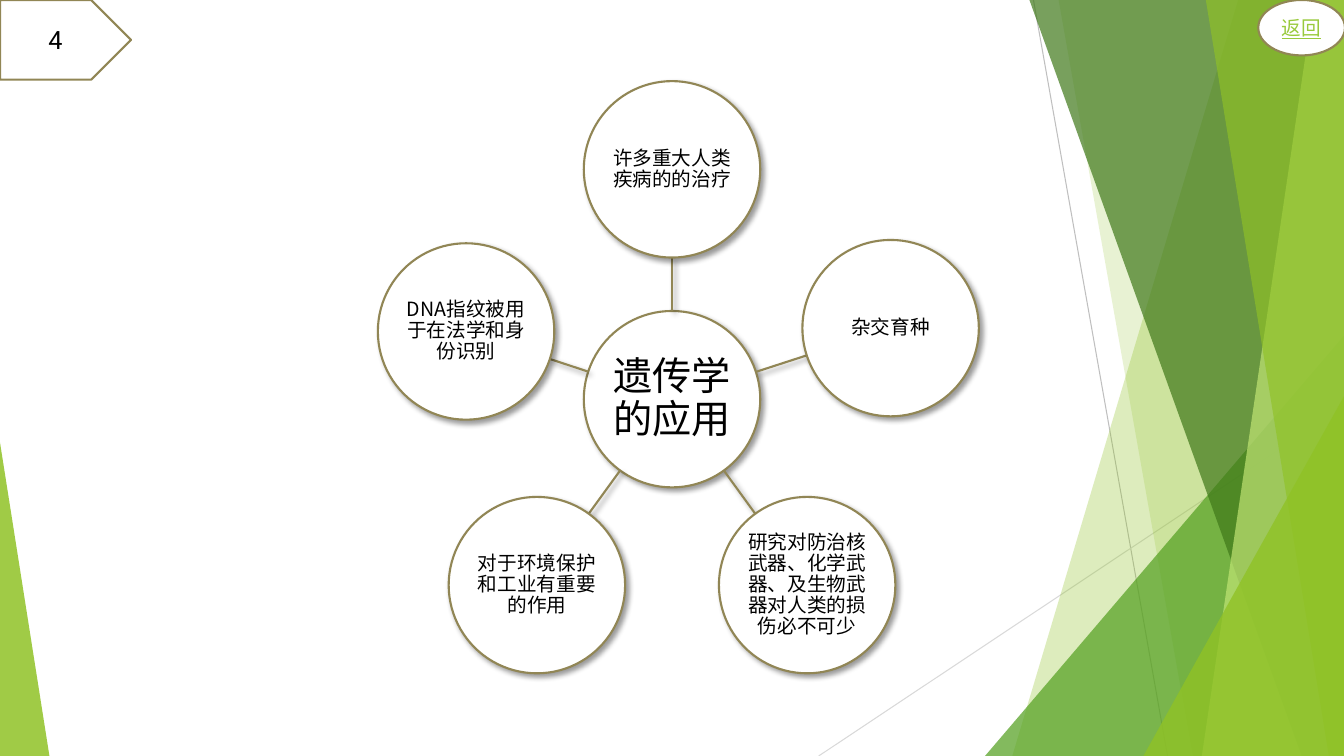
import math

import pptx
import pptx.util
from pptx.dml.color import RGBColor
from pptx.enum.shapes import MSO_CONNECTOR, MSO_SHAPE
from pptx.enum.text import MSO_ANCHOR, PP_ALIGN
from pptx.oxml import parse_xml
from pptx.oxml.ns import nsdecls, qn
from lxml import etree

Inches = pptx.util.Inches
Pt = pptx.util.Pt

WHITE = RGBColor(0xFF, 0xFF, 0xFF)
BLACK = RGBColor(0, 0, 0)
TAN = RGBColor(0x91, 0x86, 0x55)
LIME = RGBColor(0x90, 0xC2, 0x26)
LINK = RGBColor(0x99, 0xCA, 0x3C)
GREEN = RGBColor(0x54, 0xA0, 0x21)
DARK = RGBColor(0x3F, 0x78, 0x19)
PALE = RGBColor(0xC0, 0xE4, 0x74)
GREY = RGBColor(0xBF, 0xBF, 0xBF)
SILVER = RGBColor(0xD9, 0xD9, 0xD9)
HAN = "Noto Sans CJK SC"
LATIN = "Roboto"
WIDE, HIGH = 13.33, 7.5

RADIUS = 0.875
HUB = "遗传学的应用"
USES = [
    ("许多重大人类疾病的的治疗", 270, 2.28),
    ("杂交育种", 342, 2.28),
    ("研究对防治核武器、化学武器、及生物武器对人类的损伤必不可少", 54, 2.28),
    ("对于环境保护和工业有重要的作用", 126, 2.28),
    ("DNA指纹被用于在法学和身份识别", 198.2, 2.15),
]


def shade(list_el):
    """Add a soft lower-right shadow to an effect list."""
    list_el.append(parse_xml(
        f'<a:outerShdw {nsdecls("a")} blurRad="50800" dist="38100" dir="2700000" '
        'algn="tl" rotWithShape="0"><a:srgbClr val="000000">'
        '<a:alpha val="40000"/></a:srgbClr></a:outerShdw>'))


def tint(shape, color, alpha):
    """Fill a shape with a see-through colour and no outline."""
    shape.shadow.inherit = False
    shape.line.fill.background()
    shape.fill.solid()
    shape.fill.fore_color.rgb = color
    tone = shape.fill._xPr.find(qn("a:solidFill"))[0]
    etree.SubElement(tone, qn("a:alpha")).set("val", str(alpha * 1000))


def rule(slide, start, end, color, width):
    """Draw a straight line and return its effect list."""
    line = slide.shapes.add_connector(
        MSO_CONNECTOR.STRAIGHT, *[Inches(n) for n in (*start, *end)])
    line.line.color.rgb = color
    line.line.width = Pt(width)
    return etree.SubElement(line._element.spPr, qn("a:effectLst"))


def badge(slide, kind, box, text, size, face, color=BLACK):
    """Draw a white outlined shape with centred text."""
    shape = slide.shapes.add_shape(kind, *[Inches(n) for n in box])
    shape.shadow.inherit = False
    shape.fill.solid()
    shape.fill.fore_color.rgb = WHITE
    shape.line.color.rgb = TAN
    shape.line.width = Pt(1.5)
    frame = shape.text_frame
    frame.text = text
    frame.word_wrap = True
    frame.vertical_anchor = MSO_ANCHOR.MIDDLE
    para = frame.paragraphs[0]
    para.alignment = PP_ALIGN.CENTER
    font = para.runs[0].font
    font.size = Pt(size)
    font.name = face
    font.color.rgb = color
    etree.SubElement(font._element, qn("a:ea")).set("typeface", HAN)
    return shape


def disc(slide, mid, text, size, inset):
    """Draw a shadowed circle of text around its centre."""
    box = (mid[0] - RADIUS, mid[1] - RADIUS, 2 * RADIUS, 2 * RADIUS)
    shape = badge(slide, MSO_SHAPE.OVAL, box, text, size, HAN)
    shade(shape._element.spPr.find(qn("a:effectLst")))
    frame = shape.text_frame
    frame.margin_left = frame.margin_right = Inches(inset)
    frame.margin_top = frame.margin_bottom = Inches(inset)
    frame.paragraphs[0].line_spacing = 0.9


def wheel(slide, mid):
    """Draw the hub with its spokes and outer circles."""
    disc(slide, mid, HUB, 28, 0.02)
    for text, angle, reach in USES:
        turn = math.radians(angle)
        start, end, rim = [
            (mid[0] + far * math.cos(turn), mid[1] + far * math.sin(turn))
            for far in (RADIUS, reach - RADIUS, reach)]
        shade(rule(slide, start, end, TAN, 1.5))
        disc(slide, rim, text, 14, 0.01)


def band(slide, top, foot, color, alpha):
    """Draw a slanted band from its left edge to the slide's right edge."""
    pen = slide.shapes.build_freeform(Inches(top), 0)
    pen.add_line_segments([(Inches(x), Inches(y)) for x, y in (
        (WIDE, 0), (WIDE, HIGH), (foot, HIGH))], close=True)
    tint(pen.convert_to_shape(), color, alpha)


def wedge(slide, left, top, width, apex, color, alpha):
    """Draw a triangle standing on the slide's bottom edge."""
    shape = slide.shapes.add_shape(
        MSO_SHAPE.ISOSCELES_TRIANGLE,
        *[Inches(n) for n in (left, top, width, HIGH - top)])
    shape.adjustments[0] = apex
    tint(shape, color, alpha)


def decor(slide):
    """Draw the green facets at both sides."""
    rule(slide, (10.25, 0), (11.58, HIGH), GREY, 0.75)
    rule(slide, (WIDE, 4.03), (8.12, HIGH), SILVER, 0.75)
    band(slide, 12.28, 10.04, LIME, 30)
    band(slide, 10.5, 11.83, LIME, 20)
    wedge(slide, 9.77, 3.33, 3.56, 1, GREEN, 72)
    band(slide, 10.21, 12.91, DARK, 70)
    band(slide, 13.03, 11.92, PALE, 70)
    band(slide, 11.96, 13.18, LIME, 65)
    wedge(slide, 11.34, 3.93, 1.99, 1, LIME, 80)
    wedge(slide, 0, 4.39, 0.49, 0, LIME, 85)


def main():
    """Build and save the slide."""
    deck = pptx.Presentation()
    deck.slide_width = Inches(WIDE)
    deck.slide_height = Inches(HIGH)
    slide = deck.slides.add_slide(deck.slide_layouts[6])
    decor(slide)
    wheel(slide, (WIDE / 2, 3.96))
    badge(slide, MSO_SHAPE.PENTAGON, (0, 0, 1.3, 0.79), "4", 18, LATIN)
    back = badge(slide, MSO_SHAPE.OVAL, (12.48, 0, 0.86, 0.55), "返回", 14, LATIN, LINK)
    back.text_frame.paragraphs[0].runs[0].font.underline = True
    deck.save("out.pptx")


if __name__ == "__main__":
    main()
